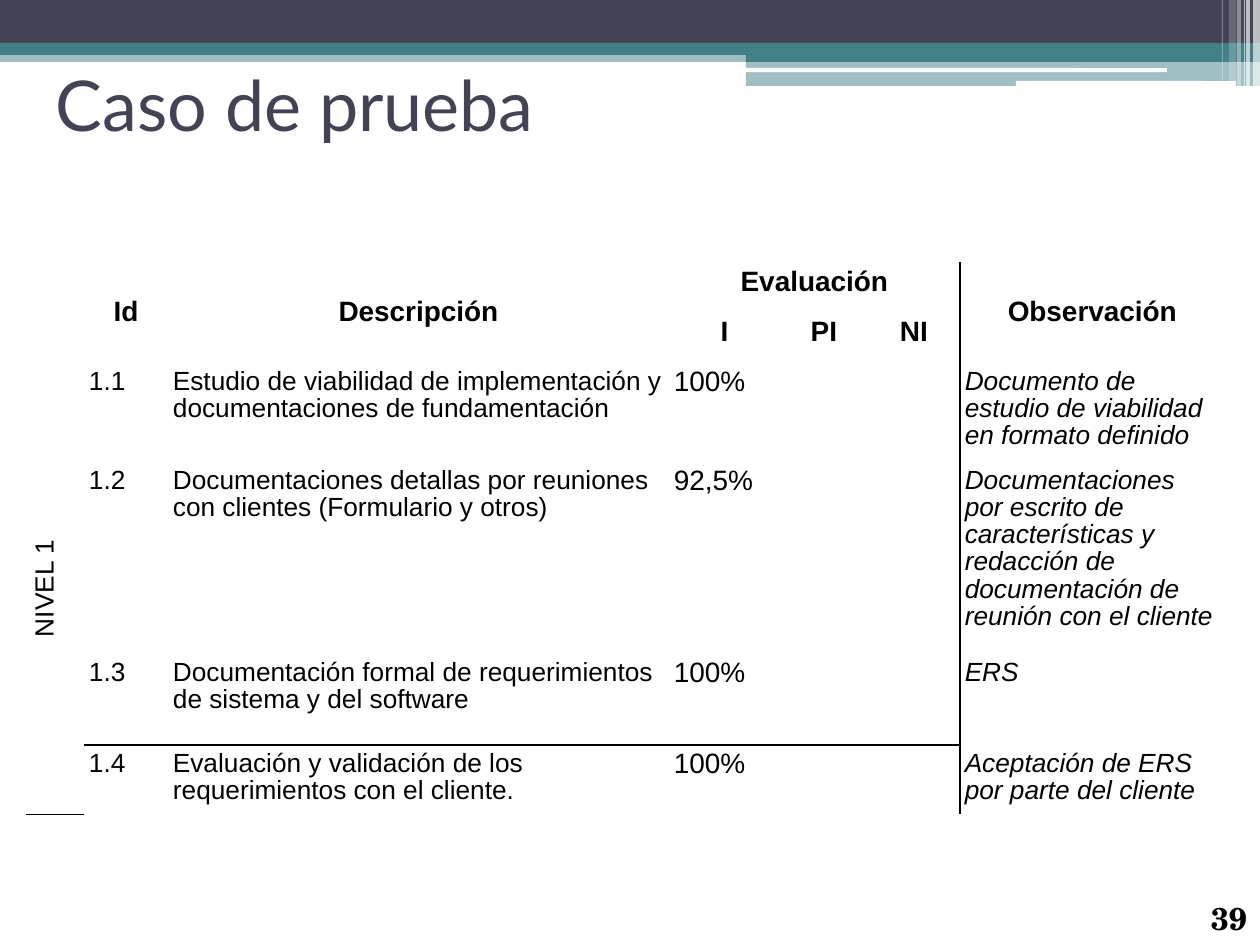
from lxml.etree import SubElement
from pptx import Presentation
from pptx.dml.color import RGBColor
from pptx.enum.shapes import MSO_SHAPE
from pptx.enum.text import MSO_ANCHOR, PP_ALIGN
from pptx.oxml.ns import qn
from pptx.util import Pt

PX = 914400 / 126  # EMU per px

NAVY = RGBColor(0x42, 0x44, 0x56)
TEAL = RGBColor(0x43, 0x80, 0x86)
WHITE = RGBColor(0xFF, 0xFF, 0xFF)
BLACK = RGBColor(0, 0, 0)

TITLE = dict(name="Lato", size=Pt(40), color=NAVY)
NUMBER = dict(name="TeX Gyre Schola", size=Pt(18), bold=True, color=BLACK)
BODY = dict(name="Arial", size=Pt(15), bold=False, italic=False, color=BLACK)
HEAD = {**BODY, "size": Pt(16), "bold": True}
SCORE = {**BODY, "size": Pt(16)}
NOTE = {**BODY, "italic": True}


def px(n):
    return round(n * PX)


class Deck:
    def __init__(self, width, height):
        self.prs = Presentation()
        self.prs.slide_width, self.prs.slide_height = px(width), px(height)
        self.s = self.prs.slides.add_slide(self.prs.slide_layouts[6])

    def bar(self, x, y, w, h, color, opacity=100, kind=MSO_SHAPE.RECTANGLE):
        sp = self.s.shapes.add_shape(kind, px(x), px(y), px(w), px(h))
        sp.shadow.inherit = False
        sp.line.fill.background()
        sp.fill.solid()
        sp.fill.fore_color.rgb = color
        if opacity < 100:
            clr = sp.fill._xPr.find(".//" + qn("a:srgbClr"))
            SubElement(clr, qn("a:alpha"), val=str(opacity * 1000))

    def add_text(self, tf, text, style):
        p = tf.paragraphs[0]
        r = p.add_run()
        r.text = text
        for key, value in style.items():
            if key == "color":
                r.font.color.rgb = value
            else:
                setattr(r.font, key, value)
        return p

    def margins(self, obj, left, top, right, bottom):
        sides = dict(left=left, top=top, right=right, bottom=bottom)
        for side, n in sides.items():
            setattr(obj, f"margin_{side}", px(n))

    def text(self, x, y, w, h, text, style, insets, anchor=MSO_ANCHOR.TOP, wrap=True):
        tf = self.s.shapes.add_textbox(px(x), px(y), px(w), px(h)).text_frame
        tf.word_wrap = wrap
        tf.vertical_anchor = anchor
        self.margins(tf, *insets)
        self.add_text(tf, text, style)

    def table(self, x, y, cols, rows, merges, ruled):
        """ruled(row, col) gives the sides of a cell that carry a line."""
        frame = self.s.shapes.add_table(len(rows), len(cols), px(x), px(y),
                                        px(sum(cols)), px(sum(rows)))
        tbl = frame.table
        tbl.first_row = tbl.horz_banding = False
        for col, w in zip(tbl.columns, cols):
            col.width = px(w)
        for row, h in zip(tbl.rows, rows):
            row.height = px(h)
        for i in range(len(rows)):
            for j in range(len(cols)):
                cell = tbl.cell(i, j)
                self.borders(cell, ruled(i, j))
                cell.fill.background()
        for top, left, bottom, right in merges:
            tbl.cell(top, left).merge(tbl.cell(bottom, right))
        return tbl

    def borders(self, cell, sides):
        tcPr = cell._tc.get_or_add_tcPr()
        for side in "LRTB":
            ln = SubElement(tcPr, qn(f"a:ln{side}"), w=str(int(Pt(1))))
            if side in sides:
                fill = SubElement(ln, qn("a:solidFill"))
                SubElement(fill, qn("a:srgbClr"), val=str(BLACK))
            else:
                SubElement(ln, qn("a:noFill"))

    def cell(self, cell, text, style, align=None, anchor=MSO_ANCHOR.TOP, vert=None):
        self.margins(cell, 5, 6, 5, 5)
        cell.vertical_anchor = anchor
        p = self.add_text(cell.text_frame, text, style)
        p.line_spacing = 0.93
        p.alignment = align
        if vert:
            cell._tc.get_or_add_tcPr().set("vert", vert)


def ruled(row, col):
    sides = {5: "R", 6: "L"}.get(col, "")
    if 1 <= col <= 5:
        sides += {4: "B", 5: "T"}.get(row, "")
    if col == 0 and row in (2, 5):
        sides += "B"
    return sides


def main():
    d = Deck(1260, 945)

    # Header bands
    d.bar(0, 50, 1260, 12, TEAL, 50)
    d.bar(0, 0, 1260, 43, NAVY)
    d.bar(0, 43, 1260, 12, TEAL)
    d.bar(746, 49, 514, 13, TEAL)
    d.bar(746, 61, 514, 25, TEAL, 50)
    d.bar(745, 68, 422, 4, WHITE, kind=MSO_SHAPE.ROUNDED_RECTANGLE)
    d.bar(1016, 81, 220, 5, WHITE, kind=MSO_SHAPE.ROUNDED_RECTANGLE)

    # Pale stripes at the right edge
    for x, w, h, opacity in [(1253, 7, 86, 65), (1246, 4, 86, 65), (1244, 1, 86, 60),
                             (1237, 4, 86, 40), (1229, 7, 81, 20), (1222, 1, 81, 30)]:
        d.bar(x, 0, w, h, WHITE, opacity)

    # Title and page number
    d.text(45, 11, 1171, 186, "Caso de prueba", TITLE, (11, 5, 11, 6), MSO_ANCHOR.MIDDLE)
    d.text(1200, 891, 161, 54, "39", NUMBER, (11, 8, 11, 5), wrap=False)

    # Evaluation table
    merges = [(0, 1, 1, 1), (0, 2, 1, 2), (0, 3, 0, 5), (0, 6, 1, 6), (2, 0, 5, 0)]
    tbl = d.table(26, 262, [58, 84, 501, 111, 88, 92, 265],
                  [45, 45, 96, 192, 91, 68], merges, ruled)

    # Column headings
    for row, col, text in [(0, 1, "Id"), (0, 2, "Descripción"), (0, 3, "Evaluación"),
                           (0, 6, "Observación"), (1, 3, "I"), (1, 4, "PI"), (1, 5, "NI")]:
        anchor = MSO_ANCHOR.TOP if 3 <= col <= 5 else MSO_ANCHOR.MIDDLE
        d.cell(tbl.cell(row, col), text, HEAD, PP_ALIGN.CENTER, anchor)

    # Level label and its criteria
    d.cell(tbl.cell(2, 0), "NIVEL 1", BODY, PP_ALIGN.CENTER, MSO_ANCHOR.MIDDLE, "vert270")
    criteria = [
        ("Estudio de viabilidad de implementación y documentaciones de fundamentación",
         "100%", "Documento de estudio de viabilidad en formato definido"),
        ("Documentaciones detallas por reuniones con clientes (Formulario y otros)",
         "92,5%", "Documentaciones por escrito de características y redacción de "
         "documentación de reunión con el cliente"),
        ("Documentación formal de requerimientos de sistema y del software", "100%", "ERS"),
        ("Evaluación y validación de los requerimientos con el cliente.",
         "100%", "Aceptación de ERS por parte del cliente"),
    ]
    for n, (description, score, note) in enumerate(criteria, 1):
        for col, text, style in [(1, f"1.{n}", BODY), (2, description, BODY),
                                 (3, score, SCORE), (6, note, NOTE)]:
            d.cell(tbl.cell(n + 1, col), text, style)

    d.prs.save("out.pptx")


if __name__ == "__main__":
    main()
